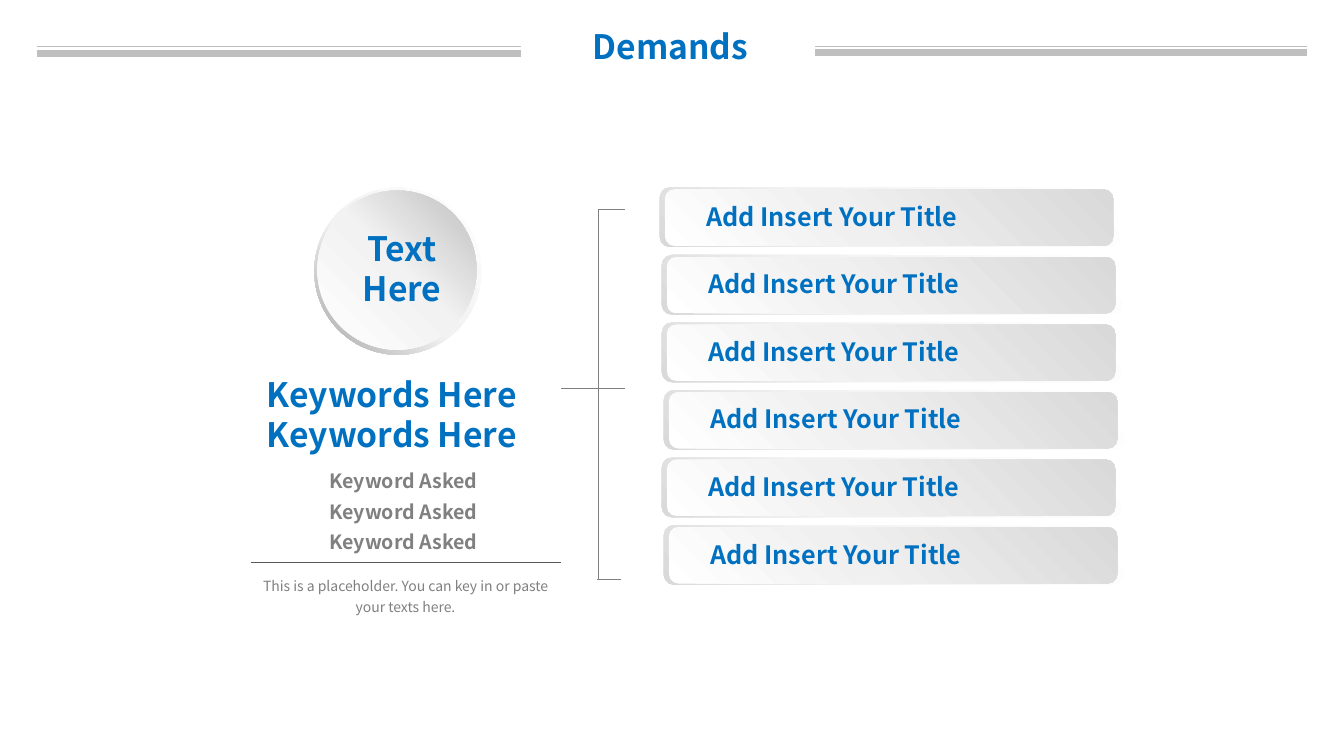
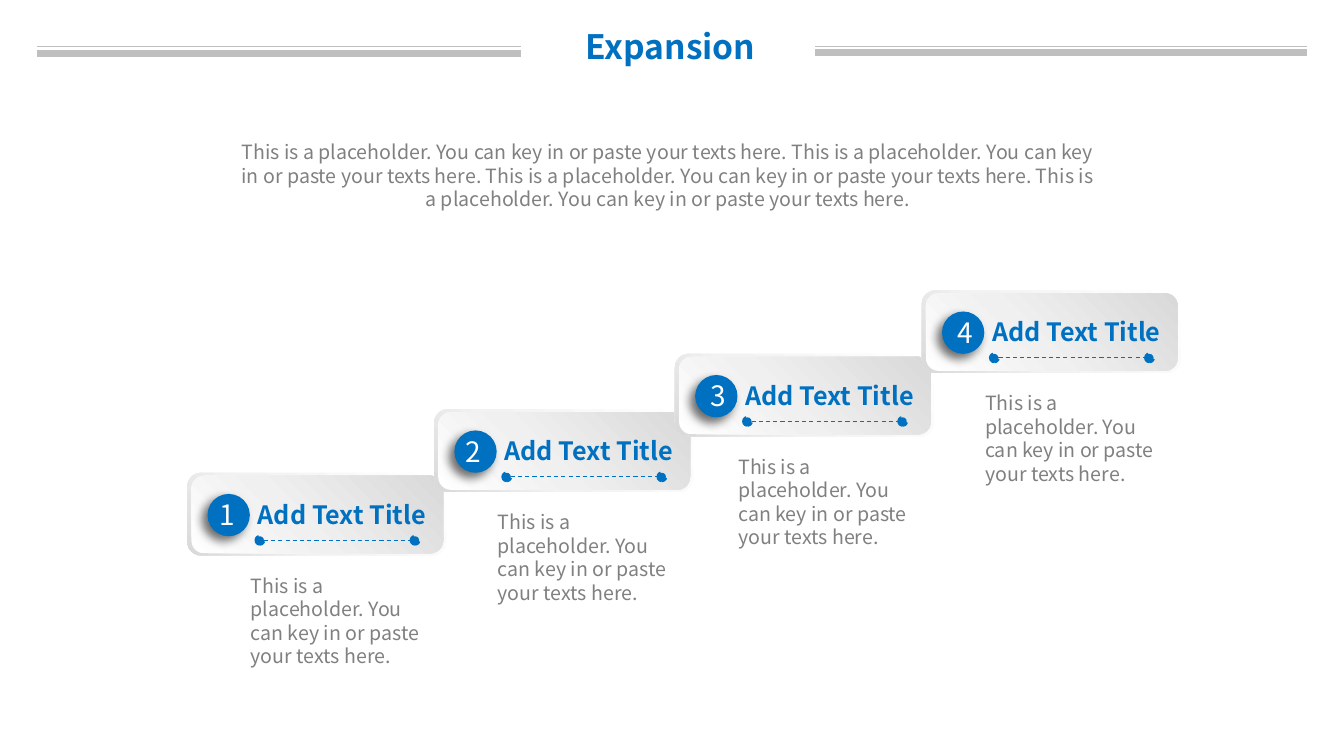
"""Build the Demands and Expansion slides with a shared title band."""
from lxml import etree
from pptx import Presentation
from pptx.dml.color import RGBColor
from pptx.enum import dml, shapes, text
from pptx.oxml import ns
from pptx.util import Inches, Pt

FONT = "Noto Sans CJK SC"
BLUE = RGBColor(0x00, 0x70, 0xC0)
WHITE = RGBColor(0xFF, 0xFF, 0xFF)
GRAY = RGBColor(0x80, 0x80, 0x80)
DARK_GRAY = RGBColor(0x59, 0x59, 0x59)
BAND = RGBColor(0xBF, 0xBF, 0xBF)
PALE = RGBColor(0xF2, 0xF2, 0xF2)
SILVER = RGBColor(0xD9, 0xD9, 0xD9)
PEARL = RGBColor(0xF0, 0xF0, 0xF0)
STEEL = RGBColor(0xA6, 0xA6, 0xA6)

RING_FILL = ([(0, WHITE), (55, PALE), (100, STEEL)], 225)
DISC_FILL = ([(0, WHITE), (51, PALE), (100, BAND)], 45)
EDGE_FILL = ([(0, WHITE), (62, PALE), (100, SILVER)], 225)
FACE_FILL = ([(0, WHITE), (42, PEARL), (100, SILVER)], 45)

TITLE = {"size": Pt(24), "bold": True, "color": BLUE}
HEADING = {"size": Pt(18), "bold": True, "color": BLUE}
KEYWORD = {"size": Pt(14), "bold": True, "color": GRAY}
BODY = {"size": Pt(14), "bold": False, "color": GRAY}
NOTE = {"size": Pt(10), "bold": False, "color": GRAY}
NUMBER = {"size": Pt(20), "bold": False, "color": WHITE}

CENTER = text.PP_ALIGN.CENTER
INSET = (0.1, 0.05, 0.1, 0.05)
NO_INSET = (0, 0, 0, 0)
ROUNDED = shapes.MSO_SHAPE.ROUNDED_RECTANGLE
OVAL = shapes.MSO_SHAPE.OVAL

PLACEHOLDER = "This is a placeholder. You can key in or paste your texts here."
BANDS = [(8.09, 12.97, 0.46, 0.75), (0.37, 5.17, 0.46, 0.75),
         (8.09, 12.97, 0.52, 4.5), (0.37, 5.17, 0.53, 4.5)]
BRACKET = [(5.57, 3.85, 6.2, 3.85), (5.94, 2.08, 5.94, 5.75),
           (5.93, 5.75, 6.16, 5.75), (5.94, 2.08, 6.2, 2.08)]
KEYWORDS = ["Keyword Asked"] * 3
DEMANDS = [(left, "Add Insert Your Title") for left in (6.55, 6.57, 6.57, 6.59, 6.57, 6.59)]
STEPS = [(1.86, 4.69, 0.16), (4.31, 4.06, 0.15), (6.7, 3.51, 0.19), (9.15, 2.88, 0.19)]
STEP_TITLE = "Add Text Title"


def add_text(slide, box, lines, style, align=text.PP_ALIGN.LEFT, inset=INSET,
             anchor=text.MSO_ANCHOR.TOP, spacing=None):
    frame = slide.shapes.add_textbox(*map(Inches, box)).text_frame
    settings = {"word_wrap": True, "vertical_anchor": anchor}
    sides = ("margin_left", "margin_top", "margin_right", "margin_bottom")
    settings.update(zip(sides, map(Inches, inset)))
    for name, value in settings.items():
        setattr(frame, name, value)
    for index, line in enumerate(lines):
        paragraph = frame.add_paragraph() if index else frame.paragraphs[0]
        paragraph.alignment = align
        paragraph.line_spacing = spacing
        run = paragraph.add_run()
        run.text = line
        for name, value in {"name": FONT, "size": style["size"], "bold": style["bold"]}.items():
            setattr(run.font, name, value)
        run.font.color.rgb = style["color"]
        properties = run.font._element
        etree.SubElement(properties, ns.qn("a:ea"), typeface=FONT)


def add_line(slide, start_x, start_y, end_x, end_y, color, width, dash=None):
    line = slide.shapes.add_connector(
        shapes.MSO_CONNECTOR.STRAIGHT, *map(Inches, (start_x, start_y, end_x, end_y)))
    line.line.color.rgb = color
    line.line.width = Pt(width)
    line.line.dash_style = dash
    etree.SubElement(line._element.spPr, ns.qn("a:effectLst"))


def add_shape(slide, kind, box, fill):
    shape = slide.shapes.add_shape(kind, *map(Inches, box))
    shape.shadow.inherit = False
    shape.line.fill.background()
    if isinstance(fill, RGBColor):
        shape.fill.solid()
        shape.fill.fore_color.rgb = fill
        return shape
    stops, angle = fill
    shape.fill.gradient()
    shape.fill.gradient_angle = angle
    stop_list = shape._element.spPr.find(".//" + ns.qn("a:gsLst"))
    for stop in list(stop_list):
        stop_list.remove(stop)
    for position, color in stops:
        stop = etree.SubElement(stop_list, ns.qn("a:gs"), pos=str(position * 1000))
        etree.SubElement(stop, ns.qn("a:srgbClr"), val=str(color))
    return shape


def cast_shadow(shape):
    effects = shape._element.spPr.find(ns.qn("a:effectLst"))
    shadow = etree.SubElement(effects, ns.qn("a:outerShdw"), blurRad=str(Pt(7)),
                              dist=str(Pt(5)), dir="8100000", algn="tr", rotWithShape="0")
    color = etree.SubElement(shadow, ns.qn("a:srgbClr"), val="000000")
    etree.SubElement(color, ns.qn("a:alpha"), val="57000")


def add_titled_slide(presentation, title):
    slide = presentation.slides.add_slide(presentation.slide_layouts[6])
    add_text(slide, (5.22, 0.21, 2.87, 0.5), [title], TITLE, CENTER)
    for start, end, top, width in BANDS:
        add_line(slide, start, top, end, top, BAND, width)
    return slide


def build_demands(presentation):
    slide = add_titled_slide(presentation, "Demands")
    ring = add_shape(slide, shapes.MSO_SHAPE.DONUT, (3.12, 1.86, 1.66, 1.66), RING_FILL)
    ring.adjustments[0] = 0.05
    add_shape(slide, OVAL, (3.15, 1.89, 1.58, 1.58), DISC_FILL)
    add_text(slide, (3.2, 2.21, 1.58, 0.91), ["Text", "Here"], TITLE, CENTER)
    add_line(slide, 2.49, 5.58, 5.57, 5.58, DARK_GRAY, 0.5)
    add_text(slide, (2.65, 3.71, 2.76, 0.81), ["Keywords Here"] * 2, TITLE, inset=NO_INSET)
    for index, keyword in enumerate(KEYWORDS):
        add_text(slide, (3.14, 4.65 + 0.305 * index, 1.73, 0.24), [keyword], KEYWORD,
                 CENTER, NO_INSET)
    add_text(slide, (2.49, 5.69, 3.07, 0.38), [PLACEHOLDER], NOTE, CENTER, NO_INSET,
             spacing=Pt(15))
    for ends in BRACKET:
        add_line(slide, *ends, GRAY, 0.75)
    for index, (left, label) in enumerate(DEMANDS):
        top = 1.86 + 0.67 * index
        add_shape(slide, ROUNDED, (left, top, 4.57, 0.59), EDGE_FILL)
        add_shape(slide, ROUNDED, (left + 0.05, top + 0.02, 4.45, 0.56), FACE_FILL)
        add_text(slide, (left + 0.13, top + 0.03, 4.38, 0.51), [label], HEADING,
                 inset=(0.33, 0.05, 0.1, 0.05), anchor=text.MSO_ANCHOR.MIDDLE)


def build_expansion(presentation):
    slide = add_titled_slide(presentation, "Expansion")
    add_text(slide, (2.26, 1.34, 8.74, 0.81), [" ".join([PLACEHOLDER] * 4)], BODY, CENTER)
    dash = dml.MSO_LINE.DASH
    for number, (left, top, number_offset) in enumerate(STEPS, 1):
        add_shape(slide, ROUNDED, (left, top, 2.57, 0.82), EDGE_FILL)
        add_shape(slide, ROUNDED, (left + 0.04, top + 0.03, 2.5, 0.77), FACE_FILL)
        cast_shadow(add_shape(slide, OVAL, (left + 0.2, top + 0.21, 0.42, 0.42), BLUE))
        add_text(slide, (left + 0.6, top + 0.21, 2.12, 0.4), [STEP_TITLE], HEADING)
        add_text(slide, (left + number_offset, top + 0.2, 0.48, 0.44), [str(number)],
                 NUMBER, CENTER)
        add_line(slide, left + 0.76, top + 0.67, left + 2.22, top + 0.67, BLUE, 0.75, dash)
        for offset in (2.22, 0.68):
            dot = add_shape(slide, OVAL, (left + offset, top + 0.63, 0.08, 0.08), BLUE)
            dot.rotation = 270
            dot.line.color.rgb = BLUE
            dot.line.width = Pt(2)
            dot.line.dash_style = dash
        add_text(slide, (left + 0.53, top + 0.95, 2.05, 1.65), [PLACEHOLDER], BODY)


def main():
    presentation = Presentation()
    presentation.slide_width = Inches(13.34)
    presentation.slide_height = Inches(7.5)
    build_demands(presentation)
    build_expansion(presentation)
    presentation.save("out.pptx")


if __name__ == "__main__":
    main()
